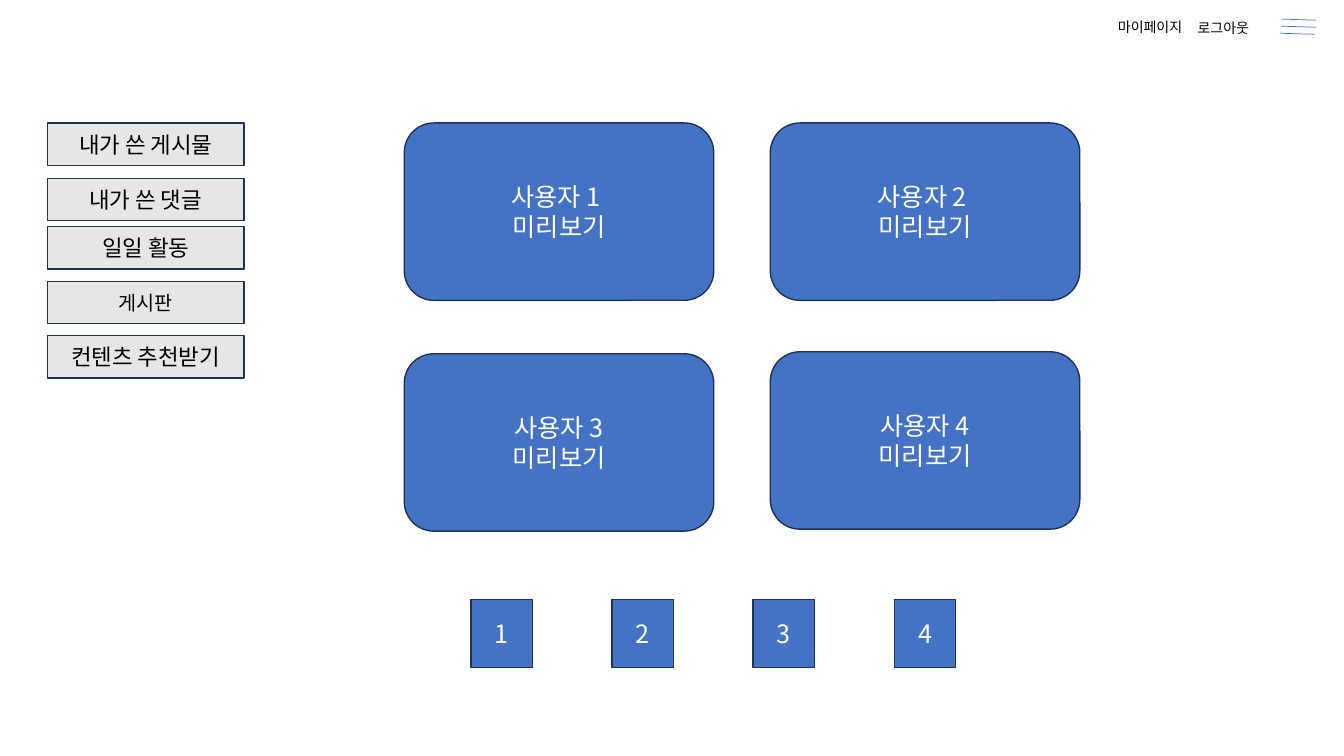
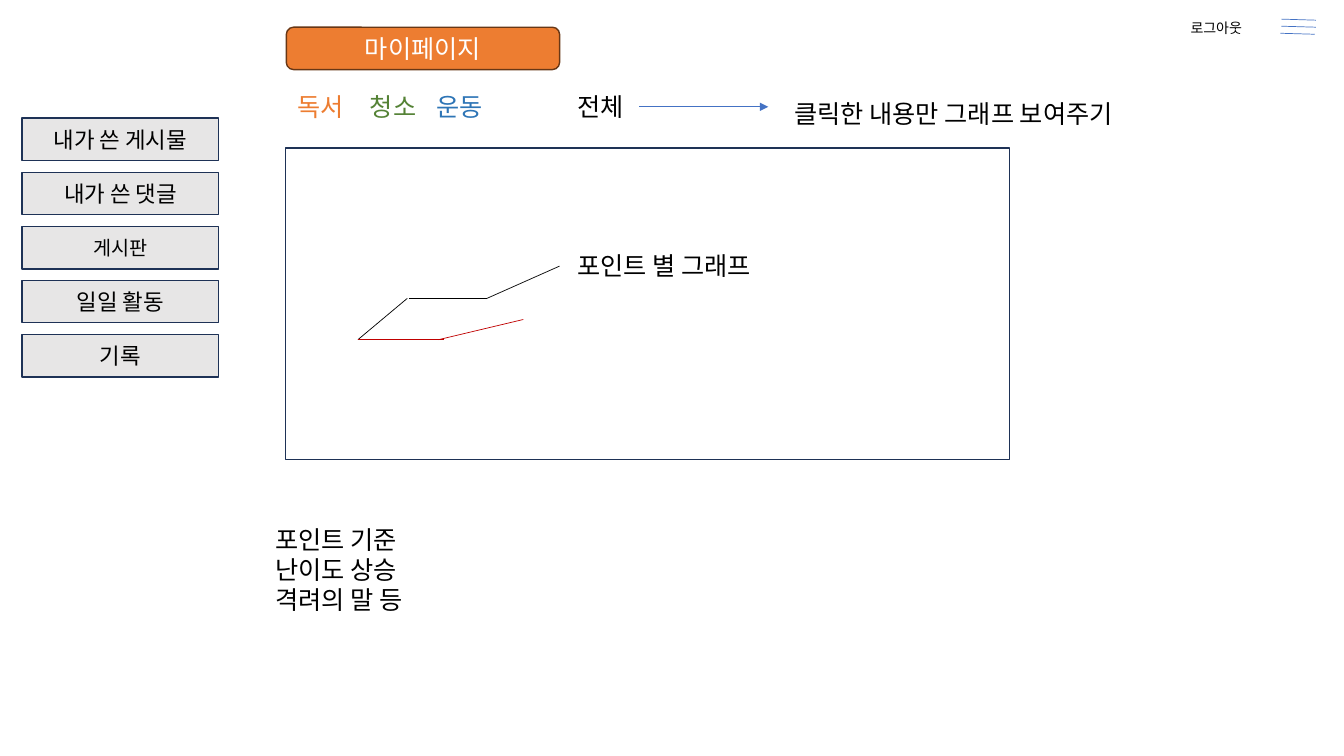
from lxml import etree
from pptx import Presentation
from pptx.dml.color import RGBColor
from pptx.enum.shapes import MSO_CONNECTOR as Connector, MSO_SHAPE as Shape
from pptx.enum.text import MSO_ANCHOR as Anchor, MSO_AUTO_SIZE as AutoSize, PP_ALIGN as Align
from pptx.oxml.ns import qn
from pptx.util import Inches, Pt

FONT = "Noto Sans CJK KR"
COLORS = {
    "black": "000000", "white": "FFFFFF", "gray": "E7E6E6", "navy": "1E3256",
    "blue": "4472C4", "orange": "ED7D31", "brown": "683715",
    "green": "548235", "sky": "2E75B6", "red": "C00000",
}


def add_box(page, area, text, size=18, color="black", kind=None, fill=None, line="navy", wrap=True):
    place = [Inches(value) for value in area]
    if kind is None:
        box = page.shapes.add_textbox(*place)
    else:
        box = page.shapes.add_shape(kind, *place)
        box.shadow.inherit = False
        box.fill.solid()
        box.fill.fore_color.rgb = RGBColor.from_string(COLORS[fill])
        box.line.color.rgb = RGBColor.from_string(COLORS[line])
        box.line.width = Pt(1)
    frame = box.text_frame
    frame.text = text
    frame.word_wrap = wrap
    if kind is None:
        frame.auto_size = AutoSize.SHAPE_TO_FIT_TEXT
    else:
        frame.vertical_anchor = Anchor.MIDDLE
    for para in frame.paragraphs:
        para.alignment = Align.LEFT if kind is None else Align.CENTER
        for span in para.runs:
            span.font.size = Pt(size)
            span.font.name = FONT
            span.font.color.rgb = RGBColor.from_string(COLORS[color])
            etree.SubElement(span.font._element, qn("a:ea"), typeface=FONT)
    return box


def add_line(page, points, color, arrow=False):
    line = page.shapes.add_connector(Connector.STRAIGHT, *[Inches(value) for value in points])
    line.line.color.rgb = RGBColor.from_string(COLORS[color])
    line.line.width = Pt(0.5)
    if arrow:
        etree.SubElement(line.line._get_or_add_ln(), qn("a:tailEnd"), type="triangle")
    etree.SubElement(line._element.spPr, qn("a:effectLst"))
    return line


deck = Presentation()
deck.slide_width = Inches(13.33)
deck.slide_height = Inches(7.5)

MENUS = [
    (0.47, 11.78, [
        (1.22, "내가 쓴 게시물", 16), (1.77, "내가 쓴 댓글", 16), (2.25, "일일 활동", 16),
        (2.79, "게시판", 14), (3.33, "컨텐츠 추천받기", 16),
    ]),
    (0.22, 11.71, [
        (1.17, "내가 쓴 게시물", 16), (1.71, "내가 쓴 댓글", 16), (2.25, "게시판", 14),
        (2.78, "일일 활동", 16), (3.32, "기록", 16),
    ]),
]
for menu_left, logout_left, items in MENUS:
    page = deck.slides.add_slide(deck.slide_layouts[6])
    add_box(page, (logout_left, 0.14, 0.83, 0.27), "로그아웃", 10)
    for top, label, size in items:
        add_box(page, (menu_left, top, 1.95, 0.42), label, size, kind=Shape.RECTANGLE, fill="gray")
    for left, top in [(12.71, 0.19), (12.71, 0.26), (12.7, 0.33)]:
        add_line(page, (left, top, left + 0.34, top + 0.01), "blue")

home, my_page = deck.slides

add_box(home, (10.99, 0.13, 0.96, 0.27), "마이페이지", 10)
PREVIEWS = [
    (4.01, 1.22, "사용자 1 "), (7.64, 1.22, "사용자 2 "),
    (4.01, 3.51, "사용자 3"), (7.64, 3.49, "사용자 4"),
]
for left, top, user in PREVIEWS:
    add_box(home, (left, top, 3.07, 1.76), f"{user}\n미리보기", color="white",
            kind=Shape.ROUNDED_RECTANGLE, fill="blue")
for index in range(4):
    add_box(home, (4.67 + 1.4 * index, 5.95, 0.61, 0.67), str(index + 1), color="white",
            kind=Shape.RECTANGLE, fill="blue")

add_box(my_page, (2.83, 1.47, 7.18, 3.09), "", kind=Shape.RECTANGLE, fill="white")
GRAPH_LINES = [
    ((3.55, 3.37, 4.04, 2.96), "black"),
    ((4.06, 2.96, 4.83, 2.96), "black"),
    ((4.83, 2.96, 5.55, 2.64), "black"),
    ((3.55, 3.37, 4.4, 3.37), "red"),
    ((4.35, 3.37, 5.19, 3.17), "red"),
]
for points, color in GRAPH_LINES:
    add_line(my_page, points, color)

add_box(my_page, (2.84, 0.27, 2.71, 0.42), "마이페이지", color="white",
        kind=Shape.ROUNDED_RECTANGLE, fill="orange", line="brown")
FILTERS = [(2.85, "독서", "orange"), (3.57, "청소", "green"), (4.23, "운동", "sky")]
for left, label, color in FILTERS:
    add_box(my_page, (left, 0.86, 0.71, 0.4), label, color=color, wrap=False)
all_filter = add_box(my_page, (5.63, 0.86, 0.71, 0.4), "전체", wrap=False)
filter_arrow = add_line(my_page, (6.34, 1.06, 7.62, 1.06), "blue", arrow=True)
filter_arrow.begin_connect(all_filter, 3)

add_box(my_page, (7.78, 0.93, 3.75, 0.4), "클릭한 내용만 그래프 보여주기", wrap=False)
add_box(my_page, (5.63, 2.43, 2.15, 0.4), "포인트 별 그래프", wrap=False)
add_box(my_page, (2.63, 5.15, 3.25, 1.01), "포인트 기준\n난이도 상승\n격려의 말 등")

deck.save("out.pptx")
